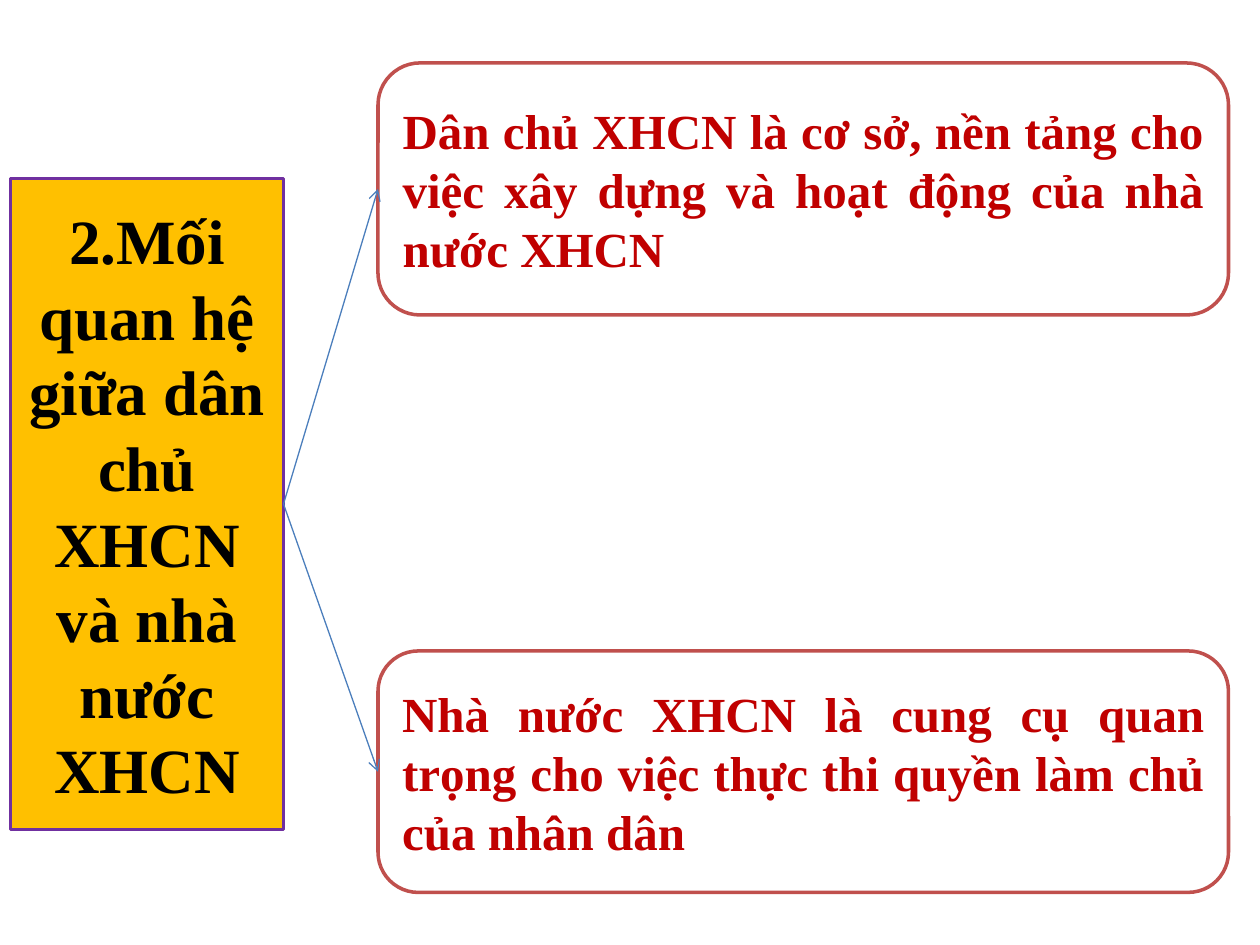
from dataclasses import dataclass

from lxml.etree import SubElement
from pptx import Presentation
from pptx.dml.color import RGBColor
from pptx.enum.shapes import MSO_CONNECTOR as Connector, MSO_SHAPE as Shape
from pptx.enum.text import MSO_ANCHOR as Anchor, PP_ALIGN as Align
from pptx.oxml.ns import qn
from pptx.slide import Slide
from pptx.util import Pt

COLORS = {
    "white": "FFFFFF",
    "black": "000000",
    "gold": "FFC000",
    "purple": "7030A0",
    "brick": "C0504D",
    "red": "C00000",
    "blue": "4B7EBC",
}


def color(name):
    return RGBColor.from_string(COLORS[name])


@dataclass
class Diagram:
    slide: Slide
    font_name: str = "Times New Roman"
    border_width: float = 2
    arrow_width: float = 0.75

    def box(self, kind, bounds, text, size, align, fill, border, ink):
        shape = self.slide.shapes.add_shape(kind, *map(Pt, bounds))
        shape.shadow.inherit = False
        shape.fill.solid()
        shape.fill.fore_color.rgb = color(fill)
        shape.line.color.rgb = color(border)
        shape.line.width = Pt(self.border_width)
        frame = shape.text_frame
        frame.word_wrap = True
        frame.vertical_anchor = Anchor.MIDDLE
        paragraph = frame.paragraphs[0]
        paragraph.text = text
        paragraph.alignment = align
        font = paragraph.font
        font.name = self.font_name
        font.size = Pt(size)
        font.bold = True
        font.color.rgb = color(ink)
        return shape

    def topic(self, bounds, text):
        return self.box(Shape.RECTANGLE, bounds, text, 36, Align.CENTER,
                        "gold", "purple", "black")

    def statement(self, bounds, text):
        return self.box(Shape.ROUNDED_RECTANGLE, bounds, text, 28, Align.JUSTIFY,
                        "white", "brick", "red")

    def arrow(self, source, target):
        connector = self.slide.shapes.add_connector(Connector.STRAIGHT, 0, 0, 0, 0)
        connector.begin_connect(source, 3)
        connector.end_connect(target, 1)
        connector.line.color.rgb = color("blue")
        connector.line.width = Pt(self.arrow_width)
        SubElement(connector.line._get_or_add_ln(), qn("a:tailEnd"), type="arrow")
        SubElement(connector._element.spPr, qn("a:effectLst"))


def main():
    presentation = Presentation()
    presentation.slide_width, presentation.slide_height = Pt(720), Pt(540)
    diagram = Diagram(presentation.slides.add_slide(presentation.slide_layouts[6]))

    statements = [
        diagram.statement((216, top, 486, height), text)
        for top, height, text in (
            (36, 144, "Dân chủ XHCN là cơ sở, nền tảng cho việc xây dựng "
                      "và hoạt động của nhà nước XHCN"),
            (372, 138, "Nhà nước XHCN là cung cụ quan trọng cho việc thực thi "
                       "quyền làm chủ của nhân dân"),
        )
    ]
    topic = diagram.topic((6, 102, 156, 372),
                          "2.Mối quan hệ giữa dân chủ XHCN và nhà nước XHCN")
    for statement in statements:
        diagram.arrow(topic, statement)

    presentation.save("out.pptx")


if __name__ == "__main__":
    main()
